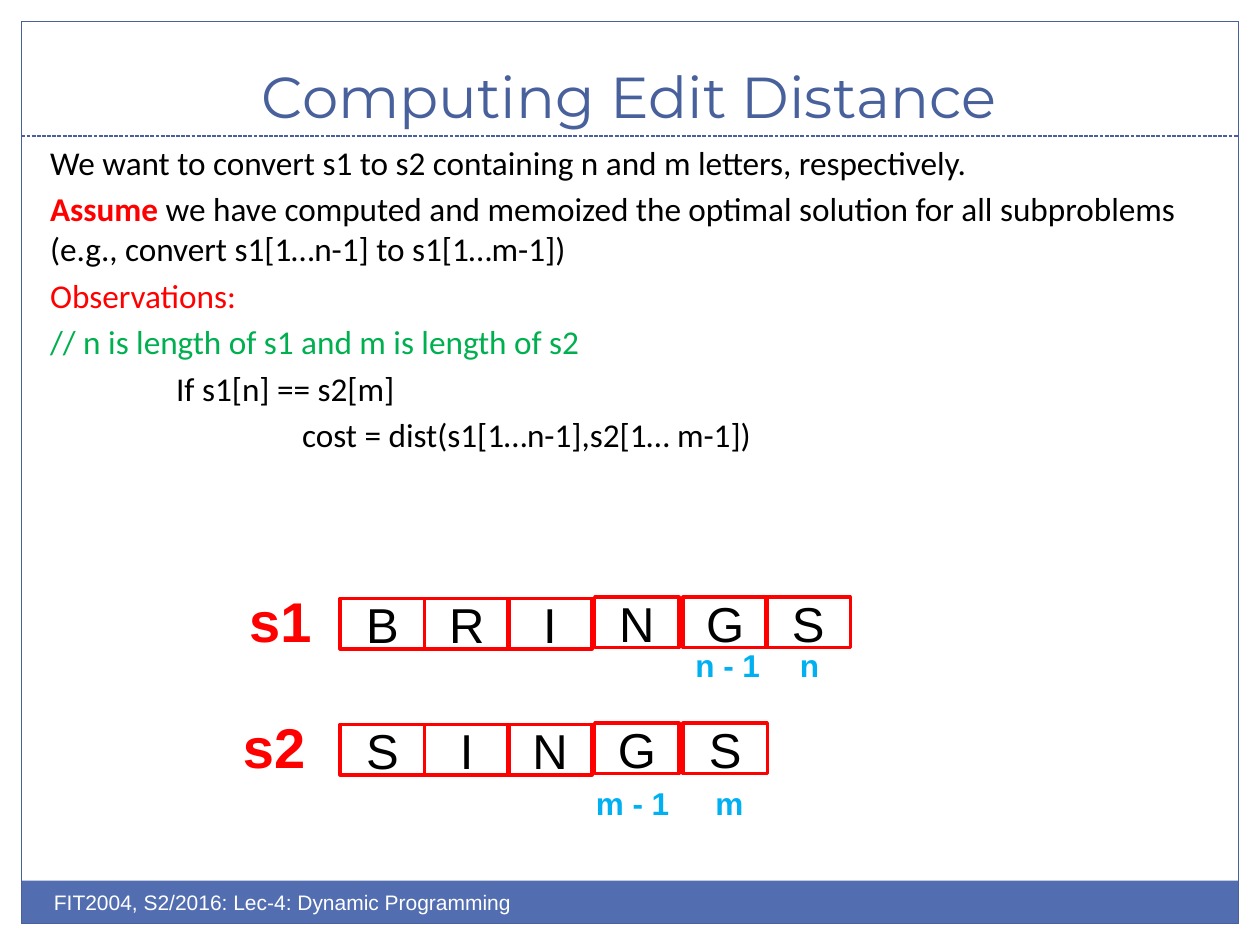
"""Build the slide on computing edit distance between two strings."""
from dataclasses import dataclass

from pptx import Presentation
from pptx import util as u
from pptx.dml.color import RGBColor
from pptx.enum import dml, shapes, text
from pptx.oxml.ns import qn
from lxml import etree


@dataclass(frozen=True)
class Theme:
    navy: str = "48609B"
    bar: str = "526DB0"
    red: str = "FF0000"
    green: str = "00B050"
    sky: str = "00B0F0"
    black: str = "000000"
    white: str = "FFFFFF"
    heading_font: str = "Montserrat"
    body_font: str = "Calibri"
    label_font: str = "Arial"
    title_size: float = 33
    name_size: float = 32
    letter_size: float = 28
    body_size: float = 19
    index_size: float = 18
    footer_size: float = 12
    body_gap: float = 3.8
    thin: float = 0.75
    thick: float = 2


class SlideBuilder:
    def __init__(self, slide, theme):
        self.slide = slide
        self.theme = theme

    def style(self, font, name, size, color, bold=False):
        font.name = name
        font.size = u.Pt(size)
        font.bold = bold
        font.color.rgb = RGBColor.from_string(color)

    def rect(self, box, fill=None, line=None, width=None):
        shape = self.slide.shapes.add_shape(
            shapes.MSO_SHAPE.RECTANGLE, *map(u.Inches, box))
        shape.shadow.inherit = False
        if fill:
            shape.fill.solid()
            shape.fill.fore_color.rgb = RGBColor.from_string(fill)
        else:
            shape.fill.background()
        if line:
            shape.line.color.rgb = RGBColor.from_string(line)
            shape.line.width = u.Pt(width)
        else:
            shape.line.fill.background()
        return shape

    def dashed_rule(self, left, right, y):
        rule = self.slide.shapes.add_connector(
            shapes.MSO_CONNECTOR.STRAIGHT,
            *map(u.Inches, (left, y, right, y)))
        rule.line.color.rgb = RGBColor.from_string(self.theme.navy)
        rule.line.width = u.Pt(self.theme.thin)
        rule.line.dash_style = dml.MSO_LINE.SQUARE_DOT
        etree.SubElement(rule._element.spPr, qn("a:effectLst"))

    def frame(self, box, wrap=True):
        frame = self.slide.shapes.add_textbox(*map(u.Inches, box)).text_frame
        frame.word_wrap = wrap
        return frame

    def label(self, words, box, font, size, color, bold=False, wrap=False):
        frame = self.frame(box, wrap)
        paragraph = frame.paragraphs[0]
        paragraph.text = words
        self.style(paragraph.font, font, size, color, bold)
        return frame

    def title(self, words, box):
        t = self.theme
        frame = self.label(words, box, t.heading_font, t.title_size, t.navy,
                           wrap=True)
        frame.vertical_anchor = text.MSO_ANCHOR.BOTTOM
        frame.paragraphs[0].alignment = text.PP_ALIGN.CENTER

    def body(self, lines, box):
        t = self.theme
        frame = self.frame(box)
        for number, (indent, color, lead, words) in enumerate(lines):
            paragraph = frame.add_paragraph() if number else frame.paragraphs[0]
            if number:
                paragraph.space_before = u.Pt(t.body_gap)
            if indent:
                paragraph._p.get_or_add_pPr().set("marL", str(u.Inches(indent)))
            self.style(paragraph.font, t.body_font, t.body_size, color)
            if lead:
                run = paragraph.add_run()
                run.text = lead
                self.style(run.font, t.body_font, t.body_size, t.red, True)
            paragraph.add_run().text = words

    def letter_cell(self, letter, box):
        t = self.theme
        frame = self.rect(box, line=t.red, width=t.thick).text_frame
        frame.vertical_anchor = text.MSO_ANCHOR.MIDDLE
        paragraph = frame.paragraphs[0]
        paragraph.text = letter
        paragraph.alignment = text.PP_ALIGN.CENTER
        self.style(paragraph.font, t.label_font, t.letter_size, t.black)

    def word_row(self, word, top):
        lefts = (2.7, 3.37, 4.03, 4.72, 5.42, 6.08)
        for position, (letter, left) in enumerate(zip(word, lefts)):
            raised = 0.01 if position >= 3 else 0
            self.letter_cell(letter, (left, top - raised, 0.67, 0.4))

    def string_name(self, words, left, top):
        t = self.theme
        self.label(words, (left, top, 0.7, 0.64), t.label_font, t.name_size,
                   t.red, bold=True)

    def index(self, words, left, top, width):
        t = self.theme
        self.label(words, (left, top, width, 0.4), t.label_font, t.index_size,
                   t.sky, bold=True)


def main():
    deck = Presentation()
    deck.slide_width, deck.slide_height = u.Inches(10), u.Inches(7.5)
    theme = Theme()
    page = SlideBuilder(deck.slides.add_slide(deck.slide_layouts[6]), theme)

    page.rect((0.17, 6.99, 9.66, 0.34), fill=theme.bar)
    page.rect((0.17, 0.17, 9.66, 7.16), line=theme.navy, width=theme.thin)
    page.dashed_rule(0.17, 9.83, 1.08)
    page.title("Computing Edit Distance", (0.33, 0.25, 9.33, 0.83))
    page.body((
        (0, theme.black, "", "We want to convert s1 to s2 containing n and m "
                             "letters, respectively."),
        (0, theme.black, "Assume ", "we have computed and memoized the optimal "
                                    "solution for all subproblems (e.g., "
                                    "convert s1[1…n-1] to s1[1…m-1])"),
        (0, theme.red, "", "Observations:"),
        (0, theme.green, "", "// n is length of s1 and m is length of s2"),
        (1, theme.black, "", "If s1[n] == s2[m]"),
        (2, theme.black, "", "cost = dist(s1[1…n-1],s2[1… m-1])"),
    ), (0.3, 1.08, 9.34, 3.53))

    for name, word, name_left, row_top in (("s1", "BRINGS", 1.88, 4.75),
                                           ("s2", "SINGS", 1.83, 5.75)):
        page.word_row(word, row_top)
        page.string_name(name, name_left, row_top - 0.14)
    for words, left, top, width in (("n - 1", 5.42, 5.08, 0.72),
                                    ("n", 6.25, 5.08, 0.36),
                                    ("m - 1", 4.63, 6.17, 0.79),
                                    ("m", 5.58, 6.17, 0.43)):
        page.index(words, left, top, width)

    page.label("FIT2004, S2/2016: Lec-4: Dynamic Programming",
               (0.33, 7.01, 5, 0.4), theme.label_font, theme.footer_size,
               theme.white, wrap=True)
    deck.save("out.pptx")


if __name__ == "__main__":
    main()
